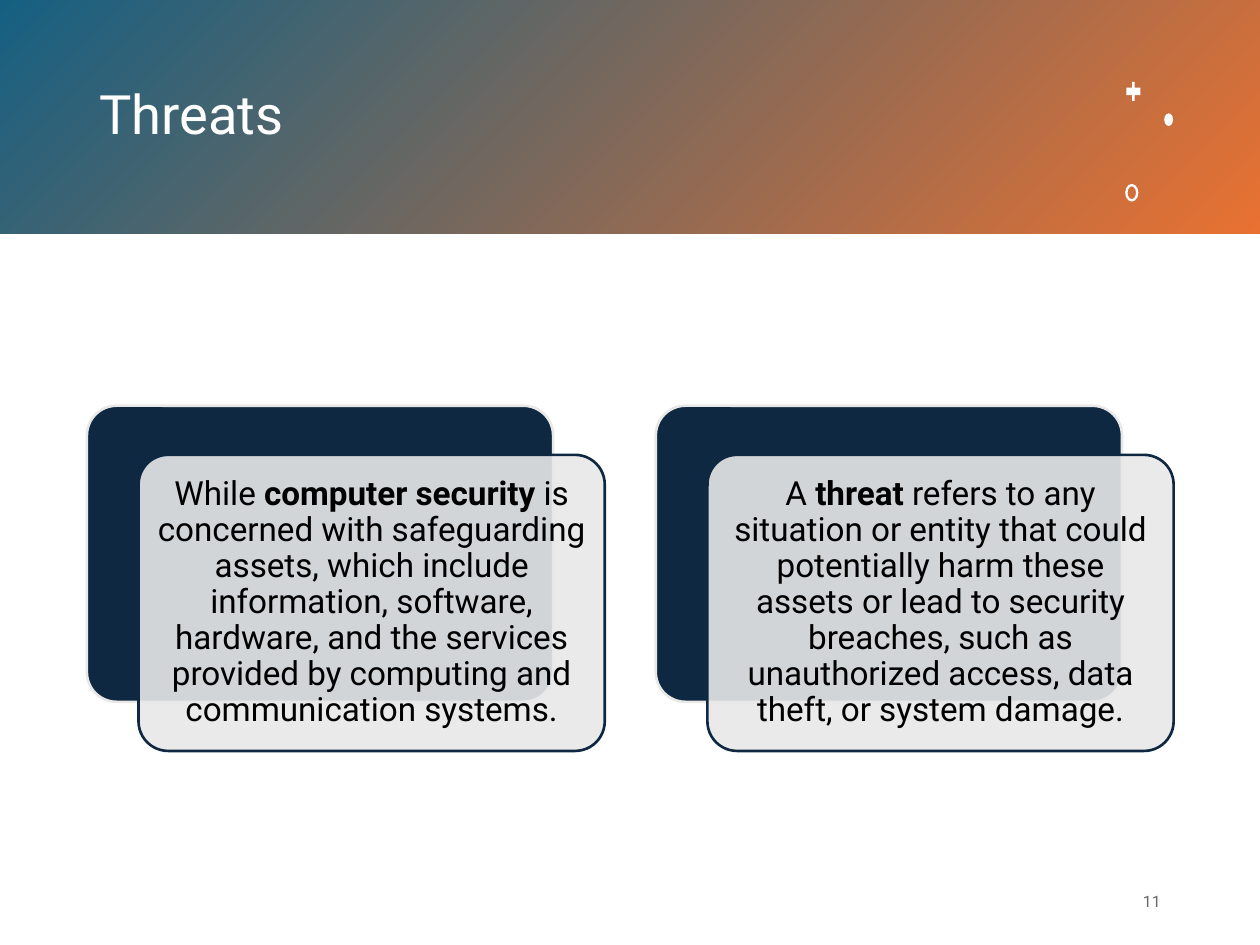
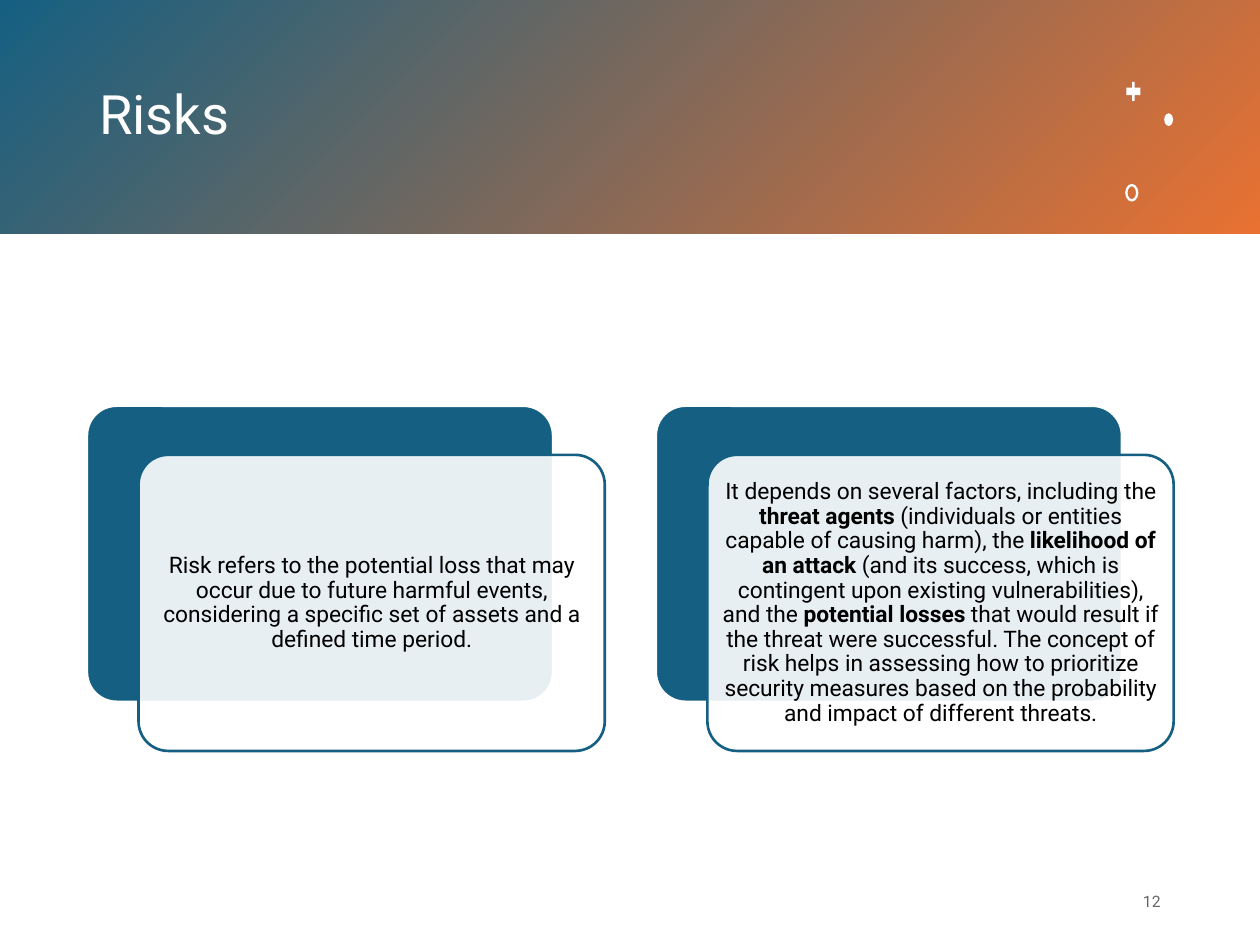
from dataclasses import dataclass
from typing import Any, NamedTuple

from pptx import Presentation
from pptx.dml.color import RGBColor
from pptx.enum.shapes import MSO_SHAPE
from pptx.enum.text import MSO_ANCHOR, PP_ALIGN
from pptx.oxml.ns import qn
from pptx.util import Inches, Pt
from lxml.etree import SubElement

FONT = "Roboto"
HUES = {
    "white": "FFFFFF",
    "black": "000000",
    "teal": "156082",
    "orange": "E97132",
    "navy": "0E2841",
    "grey": "E8E8E8",
}

# Slide size and its grid of square cells
WIDE, HIGH = Inches(10), Inches(7.5)
COLS, ROWS = 100, 75


class Area(NamedTuple):
    """A place on the grid, in columns and rows."""
    col: float
    row: float
    cols: float
    rows: float

    def shift(self, col: float, row: float = 0) -> "Area":
        return self._replace(col=self.col + col, row=self.row + row)

    def inset(self, gap: float) -> "Area":
        return Area(self.col + gap, self.row + gap,
                    self.cols - 2 * gap, self.rows - 2 * gap)

    def box(self) -> tuple[int, ...]:
        x, y = WIDE / COLS, HIGH / ROWS
        return (round(self.col * x), round(self.row * y),
                round(self.cols * x), round(self.rows * y))


@dataclass
class Mark:
    kind: MSO_SHAPE
    area: Area
    adjust: float | None = None


@dataclass
class Page:
    title: str
    number: int
    dark: str
    light: str
    size: float
    pad: float
    cards: tuple[str, ...]


BAND = Area(0, 0, COLS, 18.5)
TITLE = Area(6.9, 3.3, 80.6, 11.9)
FOOT = Area(70.6, 69.5, 22.5, 4)
CARD = Area(6.9, 32.2, 37, 23.5)
STEP = 45.15            # from one card to the next
DROP = (4.1, 3.9)       # from the back panel to the front one
RIM = 0.7               # from the front panel to its text

MARKS = (
    Mark(MSO_SHAPE.CROSS, Area(89.4, 6.5, 1.1, 1.5), 0.41),
    Mark(MSO_SHAPE.OVAL, Area(92.4, 9, 0.7, 1)),
    Mark(MSO_SHAPE.DONUT, Area(89.3, 14.6, 1.05, 1.4), 0.18),
)

# Text between double stars is bold
PAGES = (
    Page("Threats", 11, "navy", "grey", 19, 0.08, (
        "While **computer security** is concerned with safeguarding assets, "
        "which include information, software, hardware, and the services "
        "provided by computing and communication systems.",
        "A **threat** refers to any situation or entity that could "
        "potentially harm these assets or lead to security breaches, such as "
        "unauthorized access, data theft, or system damage.",
    )),
    Page("Risks", 12, "teal", "white", 13, 0.05, (
        "Risk refers to the potential loss that may occur due to future "
        "harmful events, considering a specific set of assets and a defined "
        "time period.",
        "It depends on several factors, including the **threat agents** "
        "(individuals or entities capable of causing harm), the **likelihood "
        "of an attack** (and its success, which is contingent upon existing "
        "vulnerabilities), and the **potential losses** that would result if "
        "the threat were successful. The concept of risk helps in assessing "
        "how to prioritize security measures based on the probability and "
        "impact of different threats.",
    )),
)


def tint(name: str) -> RGBColor:
    return RGBColor.from_string(HUES[name])


def fade(node: Any, share: int) -> None:
    """Set the opacity, in percent, of the first colour in a node."""
    hue = next(node.iter(qn("a:srgbClr")))
    SubElement(hue, qn("a:alpha")).set("val", str(share * 1000))


def form(slide: Any, kind: MSO_SHAPE, area: Area, fill: str | None = None,
         line: str | None = None, adjust: float | None = None) -> Any:
    shape = slide.shapes.add_shape(kind, *area.box())
    shape.shadow.inherit = False
    if adjust is not None:
        shape.adjustments[0] = adjust
    if fill:
        shape.fill.solid()
        shape.fill.fore_color.rgb = tint(fill)
    if line:
        shape.line.color.rgb = tint(line)
        shape.line.width = Pt(1.5)
    else:
        shape.line.fill.background()
    return shape


def write(slide: Any, area: Area, text: str, *, size: float,
          hue: str = "black", align: PP_ALIGN = PP_ALIGN.LEFT,
          lead: float = 1, pad: float | None = None,
          alpha: int = 100) -> None:
    frame = slide.shapes.add_textbox(*area.box()).text_frame
    frame.word_wrap = True
    frame.vertical_anchor = MSO_ANCHOR.MIDDLE
    if pad is not None:
        frame.margin_left = frame.margin_right = Inches(pad)
        frame.margin_top = frame.margin_bottom = Inches(pad)
    para = frame.paragraphs[0]
    para.alignment = align
    para.line_spacing = lead
    for turn, part in enumerate(text.split("**")):
        run = para.add_run()
        run.text = part
        run.font.name = FONT
        run.font.size = Pt(size)
        run.font.bold = turn % 2 == 1
        run.font.color.rgb = tint(hue)
        if alpha < 100:
            fade(run.font.color.rgb and run._r, alpha)


def frame(slide: Any, page: Page) -> None:
    # Gradient band
    band = form(slide, MSO_SHAPE.RECTANGLE, BAND)
    band.fill.gradient()
    band.fill.gradient_angle = 315
    for stop, hue in zip(band.fill.gradient_stops, ("teal", "orange")):
        stop.color.rgb = tint(hue)
    # Title, marks and page number
    write(slide, TITLE, page.title, size=31, hue="white", lead=0.9)
    for mark in MARKS:
        form(slide, mark.kind, mark.area, "white", adjust=mark.adjust)
    write(slide, FOOT, str(page.number), size=9, align=PP_ALIGN.RIGHT,
          alpha=60)


def card(slide: Any, page: Page, area: Area, text: str) -> None:
    front = area.shift(*DROP)
    form(slide, MSO_SHAPE.ROUNDED_RECTANGLE, area, page.dark, page.light, 0.1)
    panel = form(slide, MSO_SHAPE.ROUNDED_RECTANGLE, front,
                 page.light, page.dark, 0.1)
    fade(panel.element.spPr, 90)
    write(slide, front.inset(RIM), text, size=page.size,
          align=PP_ALIGN.CENTER, lead=0.9, pad=page.pad)


def main() -> None:
    deck = Presentation()
    deck.slide_width, deck.slide_height = WIDE, HIGH
    for page in PAGES:
        slide = deck.slides.add_slide(deck.slide_layouts[6])
        frame(slide, page)
        for place, text in enumerate(page.cards):
            card(slide, page, CARD.shift(place * STEP), text)
    deck.save("out.pptx")


if __name__ == "__main__":
    main()
